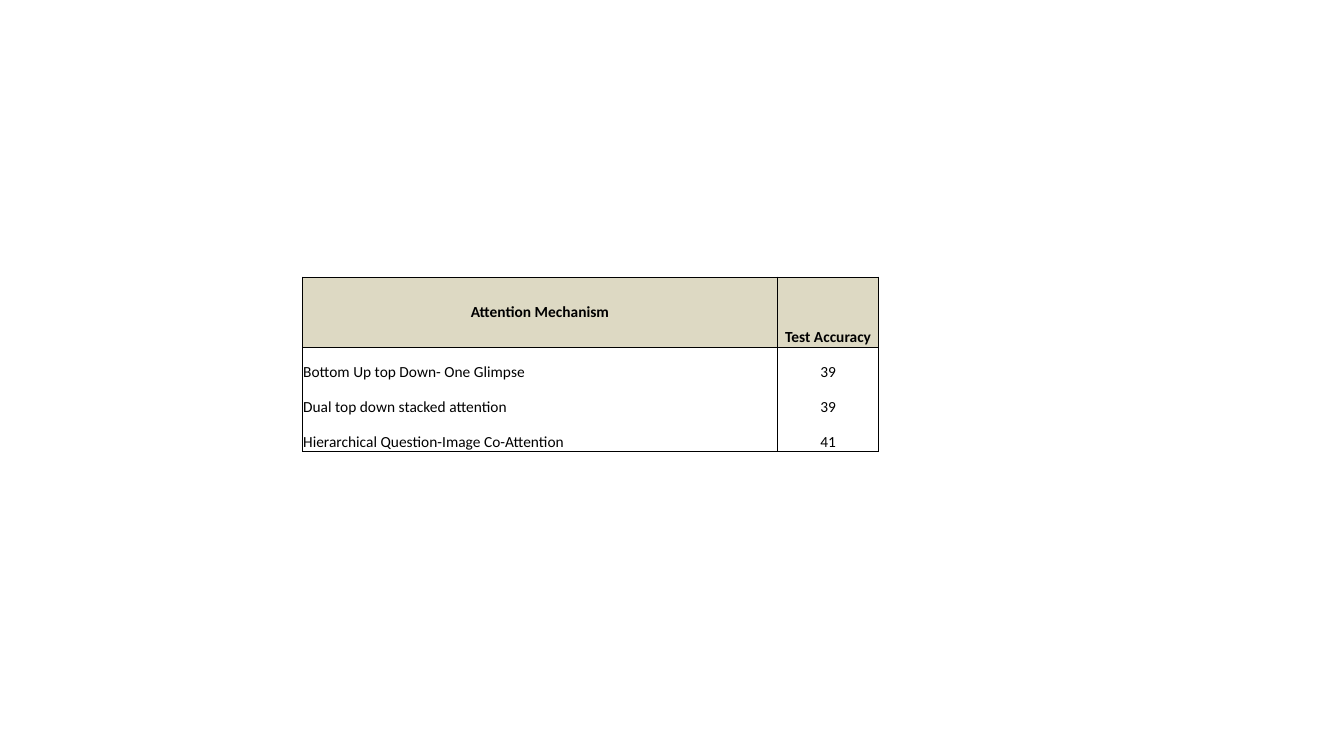
from lxml import etree
from pptx import Presentation
from pptx.dml.color import RGBColor
from pptx.enum.text import MSO_ANCHOR, PP_ALIGN
from pptx.oxml.ns import qn
from pptx.util import Cm, Pt

CENTER, LEFT = PP_ALIGN.CENTER, PP_ALIGN.LEFT
MIDDLE, BOTTOM = MSO_ANCHOR.MIDDLE, MSO_ANCHOR.BOTTOM
BLACK = RGBColor(0x00, 0x00, 0x00)
SAND = RGBColor(0xDD, 0xD9, 0xC3)

HEADERS = [("Attention Mechanism", MIDDLE), ("Test Accuracy", BOTTOM)]
RESULTS = [
    ("Bottom Up top Down- One Glimpse", "39"),
    ("Dual top down stacked attention", "39"),
    ("Hierarchical Question-Image Co-Attention", "41"),
]
# An empty row and column frame the results; the header is two rows high
COL_WIDTHS = [1.22, 11.98, 2.54, 0.84]
ROW_COUNT, ROW_HEIGHT = 7, 0.88
FIRST_RESULT = 3
RULED_ROWS, RULED_COLS = (1, 2, 3, 6), (1, 2, 3)


def set_border(cell, side, ruled):
    ln = etree.SubElement(cell._tc.get_or_add_tcPr(), qn("a:ln" + side),
                          w=str(Pt(0.5)))
    if ruled:
        fill = etree.SubElement(ln, qn("a:solidFill"))
        etree.SubElement(fill, qn("a:srgbClr"), val=str(BLACK))
    else:
        etree.SubElement(ln, qn("a:noFill"))


def format_cell(cell, row, col):
    """Rule the cell by its place in the grid, and clear fill and margins."""
    in_rows, in_cols = 1 <= row <= 5, 1 <= col <= 2
    set_border(cell, "L", in_rows and col in RULED_COLS)
    set_border(cell, "R", in_rows and col + 1 in RULED_COLS)
    set_border(cell, "T", in_cols and row in RULED_ROWS)
    set_border(cell, "B", in_cols and row + 1 in RULED_ROWS)
    cell.fill.background()
    cell.margin_left = cell.margin_right = cell.margin_top = Cm(0.02)
    cell.margin_bottom = 0


def write_cell(cell, text, align, anchor, bold=False):
    cell.vertical_anchor = anchor
    p = cell.text_frame.paragraphs[0]
    p.alignment = align
    r = p.add_run()
    r.text = text
    r.font.name = "Calibri"
    r.font.size = Pt(11)
    r.font.bold = bold
    r.font.color.rgb = BLACK


def add_accuracy_table(s, left, top, width, height):
    table = s.shapes.add_table(ROW_COUNT, len(COL_WIDTHS),
                               left, top, width, height).table
    table.first_row = table.horz_banding = False
    for column, col_width in zip(table.columns, COL_WIDTHS):
        column.width = Cm(col_width)
    for i, row in enumerate(table.rows):
        row.height = Cm(ROW_HEIGHT)
        for j, cell in enumerate(row.cells):
            format_cell(cell, i, j)

    # Header
    for j, (text, anchor) in enumerate(HEADERS, 1):
        cell = table.cell(1, j)
        cell.merge(table.cell(2, j))
        cell.fill.solid()
        cell.fill.fore_color.rgb = SAND
        write_cell(cell, text, CENTER, anchor, bold=True)

    # Results
    for i, (mechanism, accuracy) in enumerate(RESULTS, FIRST_RESULT):
        write_cell(table.cell(i, 1), mechanism, LEFT, BOTTOM)
        write_cell(table.cell(i, 2), accuracy, CENTER, BOTTOM)


def main():
    prs = Presentation()
    prs.slide_width, prs.slide_height = Cm(33.87), Cm(19.05)
    s = prs.slides.add_slide(prs.slide_layouts[6])
    add_accuracy_table(s, Cm(6.4), Cm(6.1), Cm(sum(COL_WIDTHS)),
                       Cm(ROW_COUNT * ROW_HEIGHT))
    prs.save("out.pptx")


if __name__ == "__main__":
    main()
